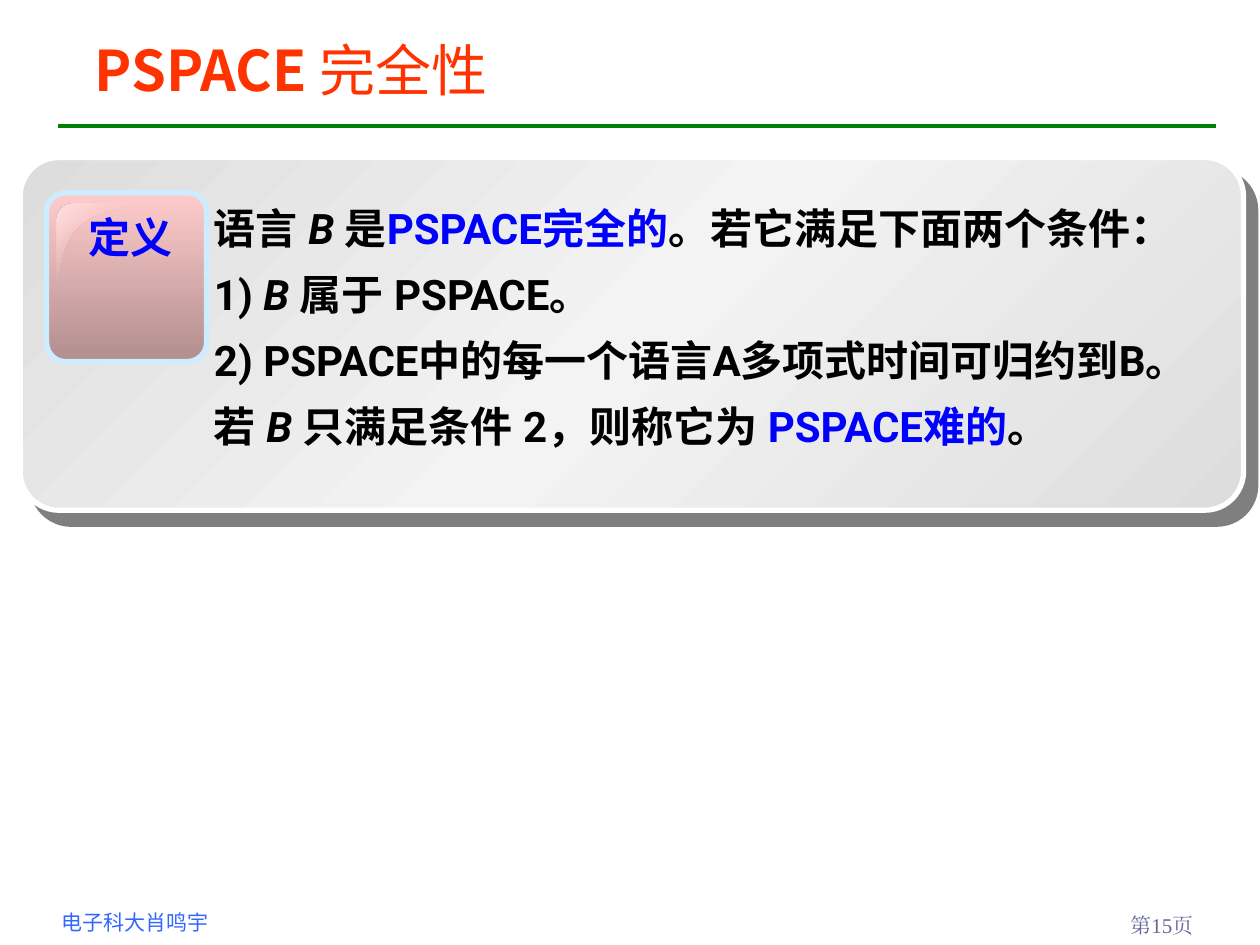
import pptx
import pptx.dml.color
import pptx.enum.shapes
import pptx.enum.text
import pptx.oxml
import pptx.oxml.ns
import pptx.util

Inches = pptx.util.Inches
Pt = pptx.util.Pt
RGB = pptx.dml.color.RGBColor
Align = pptx.enum.text.PP_ALIGN
Anchor = pptx.enum.text.MSO_ANCHOR
qn = pptx.oxml.ns.qn

BLACK = RGB(0x00, 0x00, 0x00)
WHITE = RGB(0xFF, 0xFF, 0xFF)
BLUE = RGB(0x00, 0x00, 0xFF)
ORANGE = RGB(0xFF, 0x33, 0x00)
GREEN = RGB(0x00, 0x80, 0x00)
FOOTER_BLUE = RGB(0x33, 0x66, 0xFF)
FOOTER_VIOLET = RGB(0x66, 0x66, 0x99)
PALE_BLUE = RGB(0xCC, 0xEC, 0xFF)
GREY = RGB(0xDD, 0xDD, 0xDD)
LIGHT_GREY = RGB(0xF3, 0xF3, 0xF3)
PINK = RGB(0xFF, 0xCC, 0xCC)
LIGHT_PINK = RGB(0xFF, 0xE3, 0xE3)
DARK_PINK = RGB(0xB2, 0x8E, 0x8E)

SANS = "Noto Sans CJK SC"
BODY = "Roboto"


def add_xml(parent, tag, **attributes):
    child = parent.makeelement(qn(tag), {k: str(v) for k, v in attributes.items()})
    parent.append(child)
    return child


def bezier(p0, p1, p2, p3, steps=12):
    """Points along a cubic curve, without its start."""
    points = []
    for step in range(1, steps + 1):
        t = step / steps
        u = 1 - t
        points.append(tuple(u**3 * a + 3 * u * u * t * b + 3 * u * t * t * c + t**3 * d
                            for a, b, c, d in zip(p0, p1, p2, p3)))
    return points


class SlideBuilder:
    def __init__(self, slide):
        self.slide = slide

    def add_runs(self, paragraph, runs, size, font, color):
        """Each run is its text and what differs from the style."""
        for text, style in runs:
            run = paragraph.add_run()
            run.text = text
            run.font.name = font
            run.font.size = Pt(size)
            run.font.bold = style.get("bold", False)
            run.font.italic = style.get("italic", False)
            run.font.color.rgb = style.get("color", color)
            add_xml(run.font._element, "a:ea", typeface=font)

    def title(self, box, runs):
        title = self.slide.shapes.title
        title.left, title.top, title.width, title.height = map(Inches, box)
        title.text_frame.vertical_anchor = Anchor.MIDDLE
        paragraph = title.text_frame.paragraphs[0]
        paragraph.alignment = Align.LEFT
        self.add_runs(paragraph, runs, 32, SANS, ORANGE)

    def text(self, box, paragraphs, size, font, color, align=Align.LEFT,
             spacing=None, before=0):
        frame = self.slide.shapes.add_textbox(*map(Inches, box)).text_frame
        frame.word_wrap = True
        for index, runs in enumerate(paragraphs):
            paragraph = frame.add_paragraph() if index else frame.paragraphs[0]
            paragraph.alignment = align
            if spacing:
                paragraph.line_spacing = spacing
            if index:
                paragraph.space_before = Pt(before)
            self.add_runs(paragraph, runs, size, font, color)
        return frame

    def rule(self, start, end, color, width):
        line = self.slide.shapes.add_connector(
            pptx.enum.shapes.MSO_CONNECTOR.STRAIGHT, *map(Inches, start + end))
        line.line.color.rgb = color
        line.line.width = Pt(width)
        add_xml(line._element.spPr, "a:effectLst")

    def gradient(self, shape, stops, angle):
        """Each stop is position in percent, colour and opacity in percent."""
        shape.shadow.inherit = False
        shape.fill.gradient()
        fill = shape._element.spPr.find(qn("a:gradFill"))
        fill.find(qn("a:lin")).set("ang", str(angle * 60000))
        stop_list = fill.find(qn("a:gsLst"))
        for old in list(stop_list):
            stop_list.remove(old)
        for position, color, opacity in stops:
            stop = add_xml(stop_list, "a:gs", pos=position * 1000)
            tint = add_xml(stop, "a:srgbClr", val=color)
            if opacity < 100:
                add_xml(tint, "a:alpha", val=opacity * 1000)

    def rounded(self, box, radius, stops, angle, outline):
        shape = self.slide.shapes.add_shape(
            pptx.enum.shapes.MSO_SHAPE.ROUNDED_RECTANGLE, *map(Inches, box))
        shape.adjustments[0] = radius
        self.gradient(shape, stops, angle)
        shape.line.color.rgb = outline
        shape.line.width = Pt(3)
        return shape

    def drop_shadow(self, shape, distance, angle):
        effects = shape._element.spPr.find(qn("a:effectLst"))
        shadow = add_xml(effects, "a:outerShdw", blurRad=0, dist=int(Pt(distance)),
                         dir=angle * 60000, algn="ctr", rotWithShape=0)
        add_xml(add_xml(shadow, "a:srgbClr", val=BLACK), "a:alpha", val=50000)

    def outline_shape(self, points, stops, angle):
        start, *rest = [(Inches(x), Inches(y)) for x, y in points]
        builder = self.slide.shapes.build_freeform(*start)
        builder.add_line_segments(rest, close=True)
        shape = builder.convert_to_shape()
        self.gradient(shape, stops, angle)
        shape.line.fill.background()


def main():
    deck = pptx.Presentation()
    deck.slide_width, deck.slide_height = Inches(10), Inches(7.5)
    page = SlideBuilder(deck.slides.add_slide(deck.slide_layouts[5]))

    # Title and rule
    page.title((0.65, 0.21, 8.83, 0.67), [("PSPACE ", {"bold": True}), ("完全性", {})])
    page.rule((0.46, 1), (9.65, 1), GREEN, 2.25)

    # Footer
    page.text((0.39, 7.17, 2.01, 0.3), [[("电子科大肖鸣宇", {})]], 12, "Arial", FOOTER_BLUE)
    page.text((8.7, 7.19, 0.87, 0.31), [[("第15页", {})]], 12, "Times New Roman",
              FOOTER_VIOLET, Align.RIGHT)

    # Definition panel
    panel = page.rounded((0.16, 1.25, 9.71, 2.8), 0.11,
                         [(0, GREY, 100), (50, LIGHT_GREY, 100), (100, GREY, 100)], 45, WHITE)
    page.drop_shadow(panel, 10.6, 49)

    # Badge with its gloss
    page.rounded((0.37, 1.53, 1.27, 1.34), 0.12,
                 [(0, PINK, 100), (100, DARK_PINK, 100)], 90, PALE_BLUE)
    gloss = [(0.58, 1.62)]
    gloss += bezier((0.58, 1.62), (0.51, 1.62), (0.45, 1.68), (0.45, 1.75))
    gloss += [(0.45, 2.28)]
    gloss += bezier((0.45, 2.28), (0.48, 2.29), (0.46, 1.97), (0.62, 1.81))
    gloss += bezier((0.62, 1.81), (0.78, 1.66), (1.08, 1.65), (1.08, 1.62))
    page.outline_shape(gloss, [(0, LIGHT_PINK, 100), (50, PINK, 0), (100, LIGHT_PINK, 100)], 45)
    page.text((0.55, 1.63, 0.97, 0.5), [[("定义", {"bold": True})]], 24, SANS, BLUE,
              Align.CENTER)

    # Definition
    plain = {"bold": True}
    symbol = {"bold": True, "italic": True}
    term = {"bold": True, "color": BLUE}
    definition = page.text((1.6, 1.5, 8.34, 2.13), [
        [("语言 ", plain), ("B ", symbol), ("是", plain), ("PSPACE完全的", term),
         ("。若它满足下面两个条件：", plain)],
        [("1) ", plain), ("B ", symbol), ("属于 PSPACE。", plain)],
        [("2) PSPACE中的每一个语言A多项式时间可归约到B。", plain)],
        [("若 ", plain), ("B ", symbol), ("只满足条件 2，则称它为 ", plain),
         ("PSPACE难的", term), ("。", plain)],
    ], 24, BODY, BLACK, spacing=1.15, before=4.5)
    for paragraph in definition.paragraphs:
        properties = paragraph._p.get_or_add_pPr()
        properties.set("marL", str(int(Inches(0.4))))
        properties.set("indent", str(int(Inches(-0.4))))

    deck.save("out.pptx")


if __name__ == "__main__":
    main()
